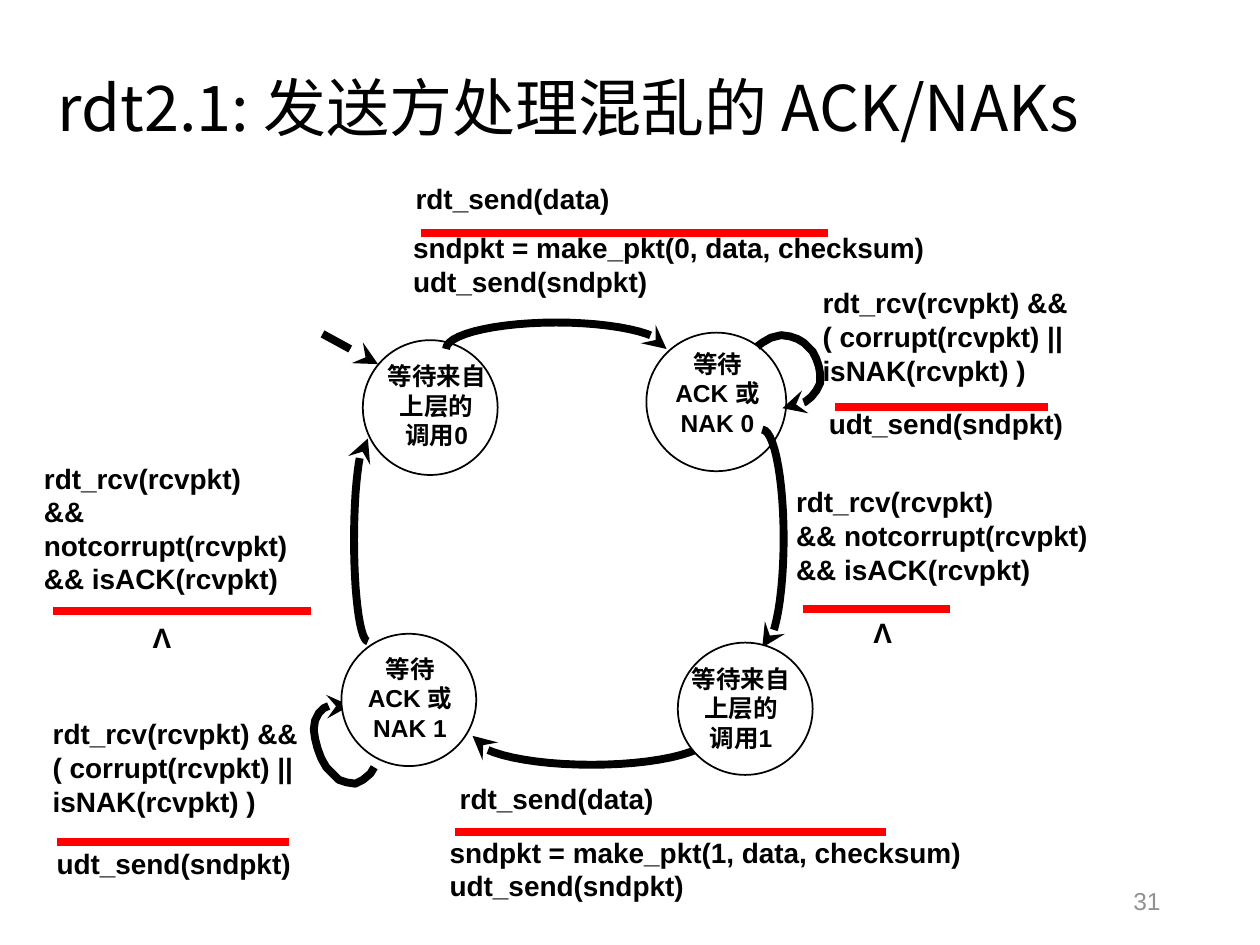
import math
from lxml import etree
from pptx import Presentation
from pptx import util as u
from pptx.dml import color
from pptx.enum import shapes, text
from pptx.oxml import ns

SCALE = 9144
COLOURS = {"ink": "000000", "paper": "FFFFFF", "rule": "FF0000", "number": "919293"}
LATIN, HAN = "Arial", "Noto Sans CJK SC"


def emu(*lengths):
    return [u.Emu(round(length * SCALE)) for length in lengths]


def rgb(name):
    return color.RGBColor.from_string(COLOURS[name])


class StateDiagram:
    def __init__(self):
        self.deck = Presentation()
        self.deck.slide_width, self.deck.slide_height = emu(1000, 750)
        self.page = self.deck.slides.add_slide(self.deck.slide_layouts[5])

    def format_text(self, frame, words, size, ink, bold, align, font):
        frame.text = words
        for para in frame.paragraphs:
            para.alignment = align
            for span in para.runs:
                span.font.size = u.Pt(size)
                span.font.bold = bold
                span.font.name = font
                span.font.color.rgb = rgb(ink)
                etree.SubElement(span._r.get_or_add_rPr(), ns.qn("a:ea"), typeface=HAN)

    def title(self, words, left, top, width, height):
        box = self.page.shapes.title
        box.left, box.top, box.width, box.height = emu(left, top, width, height)
        frame = box.text_frame
        frame.auto_size = text.MSO_AUTO_SIZE.NONE
        frame.vertical_anchor = text.MSO_ANCHOR.MIDDLE
        self.format_text(frame, words, 36, "ink", False, text.PP_ALIGN.LEFT, HAN)
        frame.paragraphs[0].line_spacing = 0.9

    def label(self, words, left, top, width, height, size=16, ink="ink", bold=True,
              align=text.PP_ALIGN.LEFT, anchor=text.MSO_ANCHOR.TOP):
        box = self.page.shapes.add_textbox(*emu(left, top, width, height))
        frame = box.text_frame
        frame.word_wrap = True
        frame.vertical_anchor = anchor
        self.format_text(frame, words, size, ink, bold, align, LATIN)

    def state(self, words, circle, label):
        oval = self.page.shapes.add_shape(shapes.MSO_SHAPE.OVAL, *emu(*circle))
        oval.shadow.inherit = False
        oval.fill.solid()
        oval.fill.fore_color.rgb = rgb("paper")
        oval.line.color.rgb = rgb("ink")
        oval.line.width = u.Pt(1)
        self.label(words, *label, size=14, align=text.PP_ALIGN.CENTER)

    def stroke(self, line, ink, dash=None, arrow=False):
        line.color.rgb = rgb(ink)
        line.width = u.Pt(4.5)
        if dash:
            line.dash_style = dash
        if arrow:
            etree.SubElement(line._get_or_add_ln(), ns.qn("a:tailEnd"), type="stealth")

    def straight(self, start, end, ink="rule", **style):
        link = self.page.shapes.add_connector(shapes.MSO_CONNECTOR.STRAIGHT, *emu(*start, *end))
        etree.SubElement(link._element.spPr, ns.qn("a:effectLst"))
        self.stroke(link.line, ink)
        if style:
            link._element.spPr.remove(link._element.spPr.find(ns.qn("a:effectLst")))
            self.stroke(link.line, ink, **style)
            etree.SubElement(link._element.spPr, ns.qn("a:effectLst"))

    def curve(self, points):
        points = [emu(*point) for point in points]
        builder = self.page.shapes.build_freeform(*points[0])
        builder.add_line_segments(points[1:], close=False)
        outline = builder.convert_to_shape()
        outline.shadow.inherit = False
        outline.fill.background()
        self.stroke(outline.line, "ink", arrow=True)

    def arc(self, start, end, bulge, steps=26):
        (x1, y1), (x2, y2) = start, end
        dx, dy = x2 - x1, y2 - y1
        length = math.hypot(dx, dy)
        points = []
        for step in range(steps + 1):
            angle = math.pi * step / steps
            along = (1 - math.cos(angle)) / 2
            out = bulge * math.sin(angle) / length
            points.append((x1 + dx * along + dy * out, y1 + dy * along - dx * out))
        self.curve(points)


UPPER_STATES = [
    ("等待来自\n上层的\n调用0", (288, 270, 107, 107), (282, 282, 129, 77)),
    ("等待\nACK 或 NAK 0", (513, 264, 111, 110), (505, 272, 129, 82)),
]
LOWER_STATES = [
    ("等待来自\n上层的\n调用1", (538, 510, 107, 105), (522, 522, 132, 77)),
    ("等待\nACK 或 NAK 1", (271, 503, 107, 105), (264, 514, 123, 77)),
]
ARCS = [
    ((354, 277), (529, 277), 21),
    ((605, 341), (605, 514), 17),
    ((564, 584), (375, 584), 23),
    ((292, 509), (292, 348), 11),
]
LOOPS = [
    [(297, 609), (294, 614), (288, 619), (282, 622), (275, 621), (269, 619), (264, 614),
     (259, 609), (255, 602), (252, 594), (250, 586), (249, 579), (250, 572), (253, 566),
     (257, 562), (264, 559), (268, 559), (273, 559), (278, 560)],
    [(601, 275), (605, 272), (612, 268), (620, 266), (627, 267), (633, 269), (638, 272),
     (645, 279), (648, 285), (650, 291), (651, 297), (651, 304), (648, 310), (644, 315),
     (639, 319), (631, 322), (626, 323), (621, 324)],
]
RETRY = "rdt_rcv(rcvpkt) &&\n( corrupt(rcvpkt) ||\nisNAK(rcvpkt) )"
ACCEPT = "rdt_rcv(rcvpkt)\n&& notcorrupt(rcvpkt)\n&& isACK(rcvpkt)"
PACKET = "sndpkt = make_pkt({}, data, checksum)\nudt_send(sndpkt)"
LABELS = [
    ("rdt_send(data)", 320, 139, 249, 38),
    (PACKET.format(0), 318, 178, 436, 51),
    (RETRY, 643, 222, 303, 72),
    ("udt_send(sndpkt)", 648, 318, 267, 51),
    (ACCEPT, 622, 380, 353, 72),
    ("rdt_send(data)", 355, 615, 282, 36),
    (PACKET.format(1), 347, 658, 444, 51),
    (RETRY, 32, 564, 237, 72),
    ("udt_send(sndpkt)", 35, 667, 215, 35),
    (ACCEPT, 25, 361, 249, 72),
]
RULES = [(334, 657, 185), (663, 832, 323), (637, 754, 483),
         (361, 703, 660), (45, 229, 668), (42, 247, 485)]


def main():
    diagram = StateDiagram()
    diagram.title("rdt2.1: 发送方处理混乱的 ACK/NAKs", 36, 26, 905, 125)
    diagram.label("31", 706, 695, 225, 40, size=14, ink="number", bold=False,
                  align=text.PP_ALIGN.RIGHT, anchor=text.MSO_ANCHOR.MIDDLE)
    for state in UPPER_STATES:
        diagram.state(*state)
    for left, right, y in RULES:
        diagram.straight((left, y), (right, y))
    diagram.straight((256, 265), (300, 289), "ink",
                     dash=text_dash.MSO_LINE.DASH, arrow=True)
    for arc in ARCS:
        diagram.arc(*arc)
    for loop in LOOPS:
        diagram.curve(loop)
    for label in LABELS:
        diagram.label(*label)
    for state in LOWER_STATES:
        diagram.state(*state)
    for left, top in [(683, 484), (111, 488)]:
        diagram.label("Λ", left, top, 35, 37, align=text.PP_ALIGN.CENTER)
    diagram.deck.save("out.pptx")


from pptx.enum import dml as text_dash

if __name__ == "__main__":
    main()
